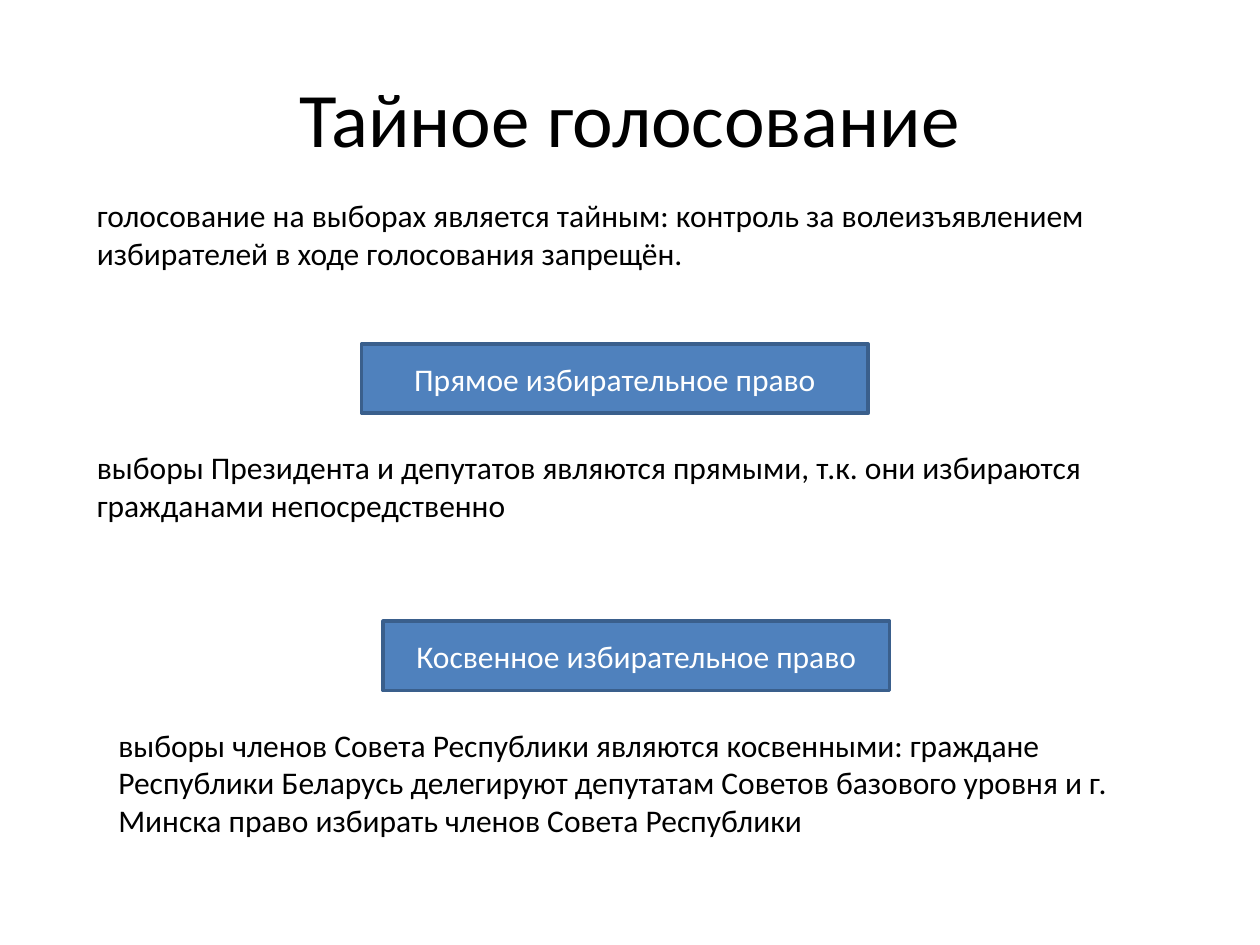
"""Build a slide on secret voting with direct and indirect suffrage."""
from pptx import Presentation
from pptx.dml.color import RGBColor
from pptx.enum.shapes import MSO_SHAPE
from pptx.enum.text import MSO_ANCHOR, PP_ALIGN
from pptx.util import Inches, Pt


def color(value):
    return RGBColor.from_string(value)


def write_text(shape, text, size=18, fill="000000", align=PP_ALIGN.LEFT, anchor=MSO_ANCHOR.TOP):
    frame = shape.text_frame
    frame.word_wrap = True
    frame.vertical_anchor = anchor
    paragraph = frame.paragraphs[0]
    paragraph.alignment = align
    run = paragraph.add_run()
    run.text = text
    run.font.name = "Calibri"
    run.font.size = Pt(size)
    run.font.color.rgb = color(fill)


presentation = Presentation()
presentation.slide_width = Inches(10)
presentation.slide_height = Inches(7.5)
slide = presentation.slides.add_slide(presentation.slide_layouts[6])
centered = {"align": PP_ALIGN.CENTER, "anchor": MSO_ANCHOR.MIDDLE}

title = slide.shapes.add_textbox(Inches(0.5), Inches(0.3), Inches(9), Inches(1.25))
write_text(title, "Тайное голосование", size=44, **centered)

introduction = slide.shapes.add_textbox(Inches(0.67), Inches(1.51), Inches(8.58), Inches(0.71))
write_text(
    introduction,
    "голосование на выборах является тайным: контроль за волеизъявлением "
    "избирателей в ходе голосования запрещён.",
)

sections = [
    (0.67, 2.73, 0.71, "Прямое избирательное право",
     "выборы Президента и депутатов являются прямыми, т.к. они избираются "
     "гражданами непосредственно"),
    (0.84, 4.93, 1.01, "Косвенное избирательное право",
     "выборы членов Совета Республики являются косвенными: граждане Республики "
     "Беларусь делегируют депутатам Советов базового уровня и г. Минска право "
     "избирать членов Совета Республики"),
]
for left, top, height, heading, description in sections:
    box = slide.shapes.add_shape(
        MSO_SHAPE.RECTANGLE, Inches(left + 2.2), Inches(top), Inches(4.02), Inches(0.55)
    )
    box.shadow.inherit = False
    box.fill.solid()
    box.fill.fore_color.rgb = color("4F81BD")
    box.line.color.rgb = color("3A5F8C")
    box.line.width = Pt(2)
    write_text(box, heading, fill="FFFFFF", **centered)

    body = slide.shapes.add_textbox(
        Inches(left), Inches(top + 0.78), Inches(8.58), Inches(height)
    )
    write_text(body, description)

presentation.save("out.pptx")
